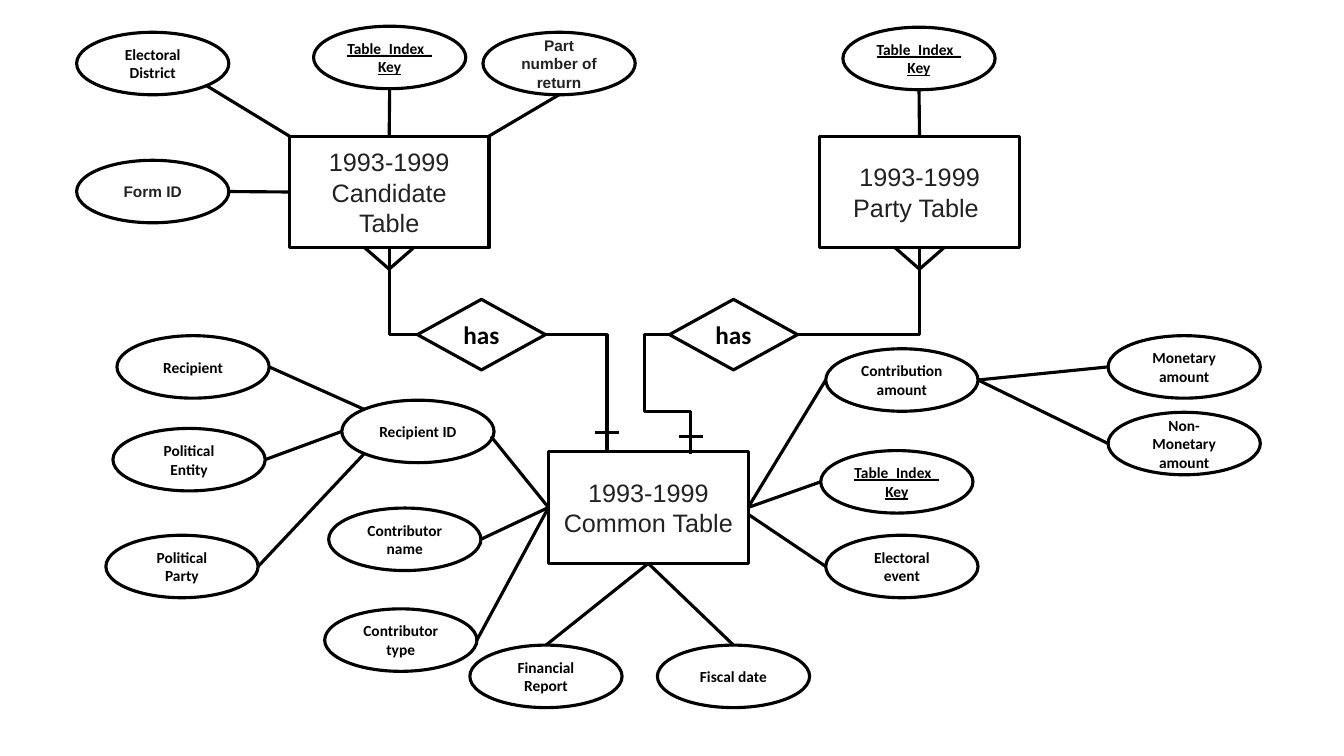
from dataclasses import dataclass

from lxml import etree
from pptx import Presentation, util as u
from pptx.dml.color import RGBColor
from pptx.enum import shapes, text
from pptx.oxml.ns import qn


@dataclass(frozen=True)
class Theme:
    ink: str = "000000"
    soft: str = "222222"
    paper: str = "FFFFFF"
    sans: str = "Arial"
    body: str = "Calibri"
    big: int = 18
    small: int = 11
    stroke: float = 2.25


T = Theme()
KIND = shapes.MSO_SHAPE
LINK = shapes.MSO_CONNECTOR
OVAL = (1.51, 0.62)
BOX = (1.98, 1.11)
GEM = (1.27, 0.7)

TOP, LOW, LEFT, RIGHT = (0.5, 0), (0.5, 1), (0, 0.5), (1, 0.5)
OVAL_TL, OVAL_BL, OVAL_BR = (0.15, 0.15), (0.15, 0.85), (0.85, 0.85)

TABLES = {
    "cand": ("1993-1999 Candidate Table", 2.87, 1.35),
    "comm": ("1993-1999 Common Table", 5.44, 4.48),
    "party": ("1993-1999 Party Table ", 8.13, 1.35),
}
FIELDS = {
    "district": ("Electoral District", 0.76, 0.32),
    "money": ("Monetary amount", 10.99, 3.33),
    "other": ("Non-Monetary amount", 10.99, 4.09),
    "event": ("Electoral event", 8.19, 5.31),
    "amount": ("Contribution amount", 8.19, 3.46),
    "person": ("Recipient", 1.16, 3.33),
    "body": ("Political Entity", 1.12, 4.25),
    "group": ("Political Party", 1.05, 5.31),
    "type": ("Contributor type", 3.22, 6.04),
    "name": ("Contributor name", 3.26, 5.04),
    "report": ("Financial Report", 4.66, 6.4),
    "date": ("Fiscal date", 6.52, 6.4),
    "payee": ("Recipient ID", 3.39, 3.97),
}
KEYS = {
    "cand key": ("Table_Index_Key", 3.11, 0.26),
    "party key": ("Table_Index_Key", 8.36, 0.27),
    "comm key": ("Table_Index_Key", 8.14, 4.47),
}
FORMS = {
    "form": ("Form ID", 0.76, 1.59),
    "part": ("Part number of return", 4.79, 0.32),
}
BONDS = {
    "cand has": ("has", 4.14, 2.97),
    "party has": ("has", 6.64, 2.97),
}
LINKS = (
    ("person", RIGHT, "payee", OVAL_TL),
    ("body", RIGHT, "payee", LEFT),
    ("group", RIGHT, "payee", OVAL_BL),
    ("payee", (0.98, 0.58), "comm", LEFT),
    ("name", RIGHT, "comm", LEFT),
    ("type", RIGHT, "comm", LEFT),
    ("report", TOP, "comm", LOW),
    ("date", TOP, "comm", LOW),
    ("event", LEFT, "comm", (1, 0.56)),
    ("amount", LEFT, "comm", RIGHT),
    ("comm key", LEFT, "comm", RIGHT),
    ("money", LEFT, "amount", RIGHT),
    ("other", LEFT, "amount", RIGHT),
    ("form", RIGHT, "cand", LEFT),
    ("district", OVAL_BR, "cand", (0, 0)),
    ("cand key", LOW, "cand", TOP),
    ("part", LOW, "cand", (1, 0)),
    ("party key", LOW, "party", TOP),
)


def cm(inch):
    return u.Cm(inch * 2.54)


def style(thing, **values):
    for key, value in values.items():
        setattr(thing, key, value)


def stroke(shape):
    shape.line.width = u.Pt(T.stroke)
    shape.line.color.rgb = RGBColor.from_string(T.ink)


def node(slide, kind, area, label, x, y, ink, **font):
    shape = slide.shapes.add_shape(kind, *map(cm, (x, y, *area)))
    shape.shadow.inherit = False
    shape.fill.solid()
    shape.fill.fore_color.rgb = RGBColor.from_string(T.paper)
    stroke(shape)
    frame = shape.text_frame
    style(frame, text=label, word_wrap=True, vertical_anchor=text.MSO_ANCHOR.MIDDLE)
    para = frame.paragraphs[0]
    para.alignment = text.PP_ALIGN.CENTER
    run = para.runs[0]
    style(run.font, **font)
    run.font.color.rgb = RGBColor.from_string(ink)
    return shape


def spot(shape, side):
    return (shape.left + round(shape.width * side[0]),
            shape.top + round(shape.height * side[1]))


def wire(slide, start, end, kind=LINK.STRAIGHT):
    line = slide.shapes.add_connector(kind, *start, *end)
    stroke(line)
    etree.SubElement(line._element.spPr, qn("a:effectLst"))
    return line


def bend(slide, start, end, preset="bentConnector2", **turns):
    line = wire(slide, start, end, LINK.ELBOW)
    geom = line._element.spPr.find(qn("a:prstGeom"))
    geom.set("prst", preset)
    stops = geom.find(qn("a:avLst"))
    for name, value in turns.items():
        etree.SubElement(stops, qn("a:gd"), name=name, fmla=f"val {value}")


def fork(slide, table):
    x, y = spot(table, LOW)
    for side in (-1, 1):
        wire(slide, (x + side * cm(0.24), y), (x, y + cm(0.21)))


def tick(slide, x, y):
    wire(slide, (cm(x - 0.12), cm(y)), (cm(x + 0.12), cm(y)))


def main():
    deck = Presentation()
    style(deck, slide_width=cm(13.33), slide_height=cm(7.5))
    slide = deck.slides.add_slide(deck.slide_layouts[6])

    big, small = u.Pt(T.big), u.Pt(T.small)
    plain = dict(ink=T.ink, name=T.body, size=small, bold=True)
    groups = (
        (TABLES, KIND.RECTANGLE, BOX, dict(ink=T.soft, name=T.sans, size=big)),
        (FIELDS, KIND.OVAL, OVAL, plain),
        (KEYS, KIND.OVAL, OVAL, dict(plain, underline=True)),
        (FORMS, KIND.OVAL, OVAL, dict(plain, ink=T.soft, name=T.sans)),
        (BONDS, KIND.FLOWCHART_DECISION, GEM, dict(plain, size=big)),
    )
    nodes = {}
    for items, kind, area, font in groups:
        for key, item in items.items():
            nodes[key] = node(slide, kind, area, *item, **font)

    for a, out, b, into in LINKS:
        wire(slide, spot(nodes[a], out), spot(nodes[b], into))

    cand, party = nodes["cand"], nodes["party"]
    near, far = nodes["cand has"], nodes["party has"]
    bend(slide, spot(near, LEFT), spot(cand, LOW))
    bend(slide, spot(near, RIGHT), (cm(6.02), cm(4.48)))
    bend(slide, spot(far, RIGHT), spot(party, LOW))
    bend(slide, spot(far, LEFT), (cm(6.85), cm(4.5)),
         "bentConnector4", adj1=-119700, adj2=64900)
    for table in (cand, party):
        fork(slide, table)
    tick(slide, 6.02, 4.29)
    tick(slide, 6.85, 4.33)

    deck.save("out.pptx")


main()
